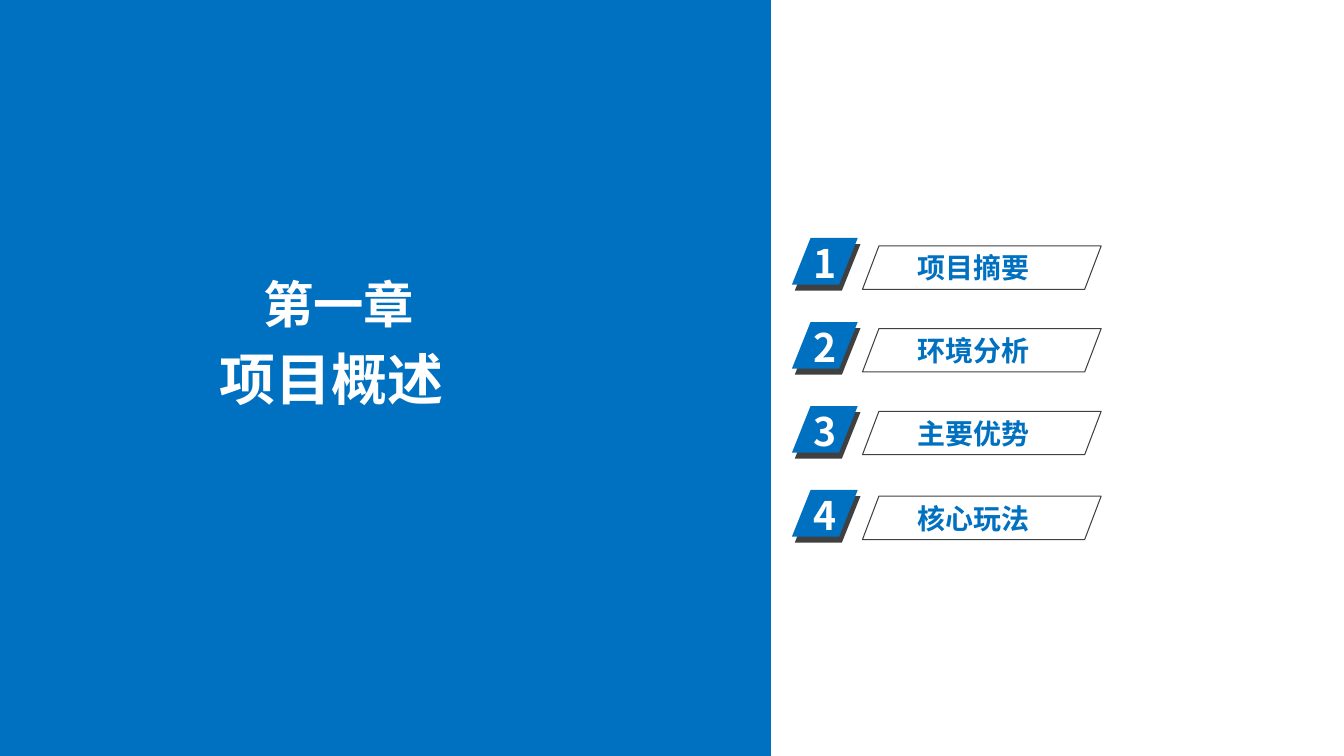
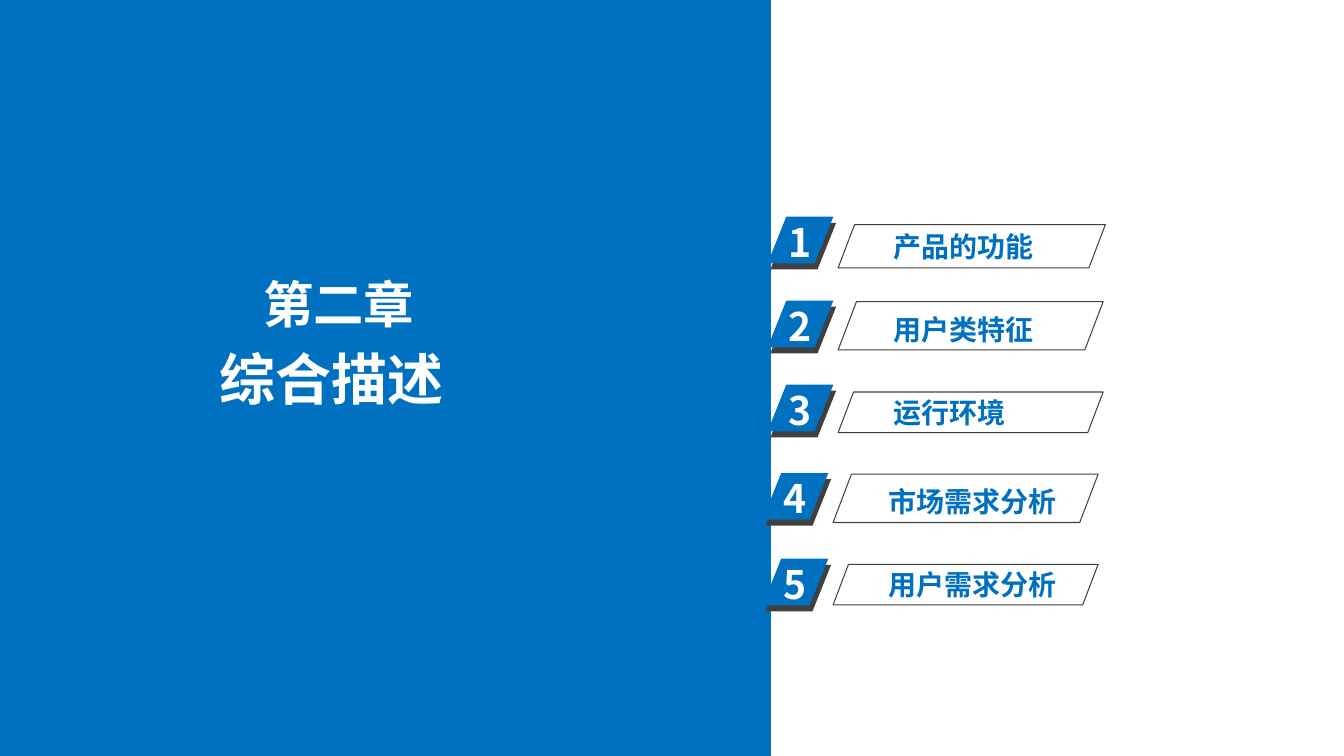
"""Build two chapter divider slides, each with a numbered list of sections."""
from lxml.etree import SubElement
from pptx import Presentation
from pptx.dml.color import RGBColor
from pptx.enum.shapes import MSO_SHAPE as Preset
from pptx.enum.text import MSO_ANCHOR as Anchor, MSO_AUTO_SIZE as AutoSize, PP_ALIGN as Align
from pptx.oxml.ns import qn
from pptx.util import Pt

BLUE = RGBColor(0x00, 0x70, 0xC0)
GREY = RGBColor(0x40, 0x40, 0x40)
WHITE = RGBColor(0xFF, 0xFF, 0xFF)
FONT = "Noto Sans CJK SC"
BADGE_W, BADGE_H = 47, 33.3
SHADE_DX, SHADE_DY = 2, 4.3

# Each section: name, badge left, badge top, frame top, frame width, frame height, name top
CHAPTERS = [
    ("第一章", "项目概述", [
        ("项目摘要", 566, 170, 175.7, 170.6, 31, 175.7),
        ("环境分析", 566, 230, 234.7, 170.6, 31, 234.7),
        ("主要优势", 566, 290, 293.8, 170.6, 31, 293.8),
        ("核心玩法", 566, 350, 354.4, 170.6, 31, 354.8),
    ]),
    ("第二章", "综合描述", [
        ("产品的功能", 548.6, 154.8, 160.4, 191, 31, 160.4),
        ("用户类特征", 548.6, 214.8, 215.5, 189.4, 34.5, 219.6),
        ("运行环境", 548.6, 274.8, 280, 189.4, 29, 278.8),
        ("市场需求分析", 545, 337.9, 338.7, 189.4, 34.5, 342.2),
        ("用户需求分析", 545, 399.1, 403.1, 189.4, 29, 401.8),
    ]),
]


def add_block(shapes, preset, left, top, width, height, fill=None, skew=None):
    block = shapes.add_shape(preset, Pt(left), Pt(top), Pt(width), Pt(height))
    block.shadow.inherit = False
    if skew is not None:
        block.adjustments[0] = skew
    if fill is None:
        block.fill.background()
        block.line.color.rgb = GREY
        block.line.width = Pt(0.75)
    else:
        block.fill.solid()
        block.fill.fore_color.rgb = fill
        block.line.fill.background()
    return block


def write(holder, text, size, color, align=Align.LEFT):
    frame = holder.text_frame
    frame.word_wrap = True
    frame.auto_size = AutoSize.NONE
    frame.vertical_anchor = Anchor.TOP
    line = frame.paragraphs[0]
    line.alignment = align
    run = line.add_run()
    run.text = text
    run.font.size = Pt(size)
    run.font.bold = True
    run.font.color.rgb = color
    run.font.name = FONT
    SubElement(run.font._element, qn("a:ea"), typeface=FONT)


deck = Presentation()
deck.slide_width, deck.slide_height = Pt(960.48), Pt(540)

for chapter, subject, sections in CHAPTERS:
    slide = deck.slides.add_slide(deck.slide_layouts[5])
    shapes = slide.shapes
    title = shapes.title
    panel = add_block(shapes, Preset.RECTANGLE, 0, 0, 551, 540, BLUE)
    title.element.addprevious(panel.element)

    title.left, title.top, title.width, title.height = Pt(101), Pt(242.5), Pt(271.5), Pt(55.5)
    write(title, subject, 40, WHITE, Align.CENTER)
    chapter_label = shapes.add_textbox(Pt(181), Pt(191.5), Pt(130), Pt(50.5))
    write(chapter_label, chapter, 36, WHITE)

    for number, section in enumerate(sections, 1):
        name, left, top, frame_top, frame_width, frame_height, name_top = section
        badge = shapes.add_group_shape().shapes
        for dx, dy, fill in ((SHADE_DX, SHADE_DY, GREY), (0, 0, BLUE)):
            add_block(badge, Preset.PARALLELOGRAM, left + dx, top + dy,
                      BADGE_W, BADGE_H, fill, 0.4)
        digit = badge.add_textbox(Pt(left + 8), Pt(top - 2.3), Pt(49.7), Pt(41))
        write(digit, str(number), 28, WHITE)

        add_block(shapes, Preset.PARALLELOGRAM, left + 50.4, frame_top,
                  frame_width, frame_height, skew=0.38)
        name_label = shapes.add_textbox(Pt(left + 82.8), Pt(name_top), Pt(218), Pt(31.7))
        write(name_label, name, 20, BLUE)

deck.save("out.pptx")
